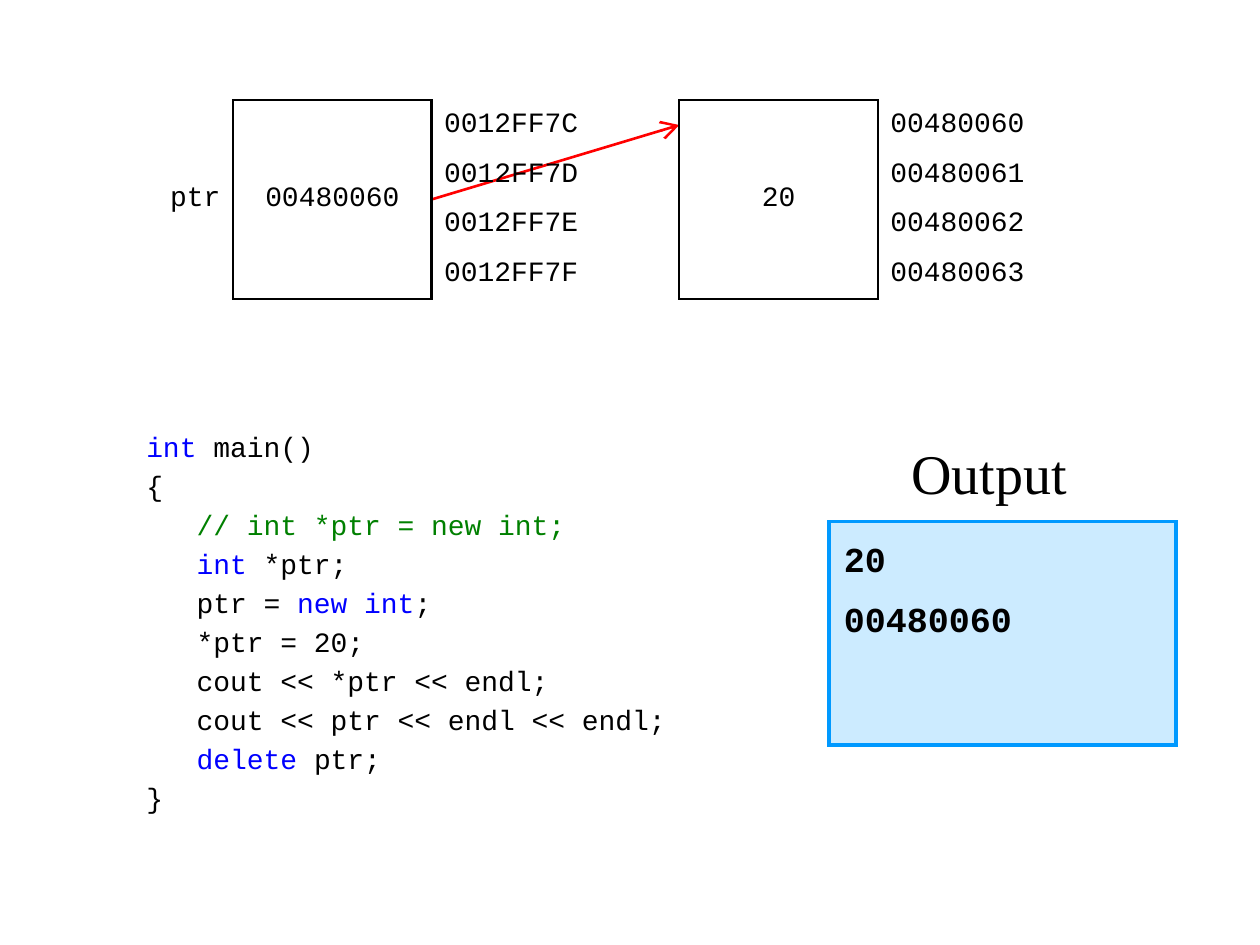
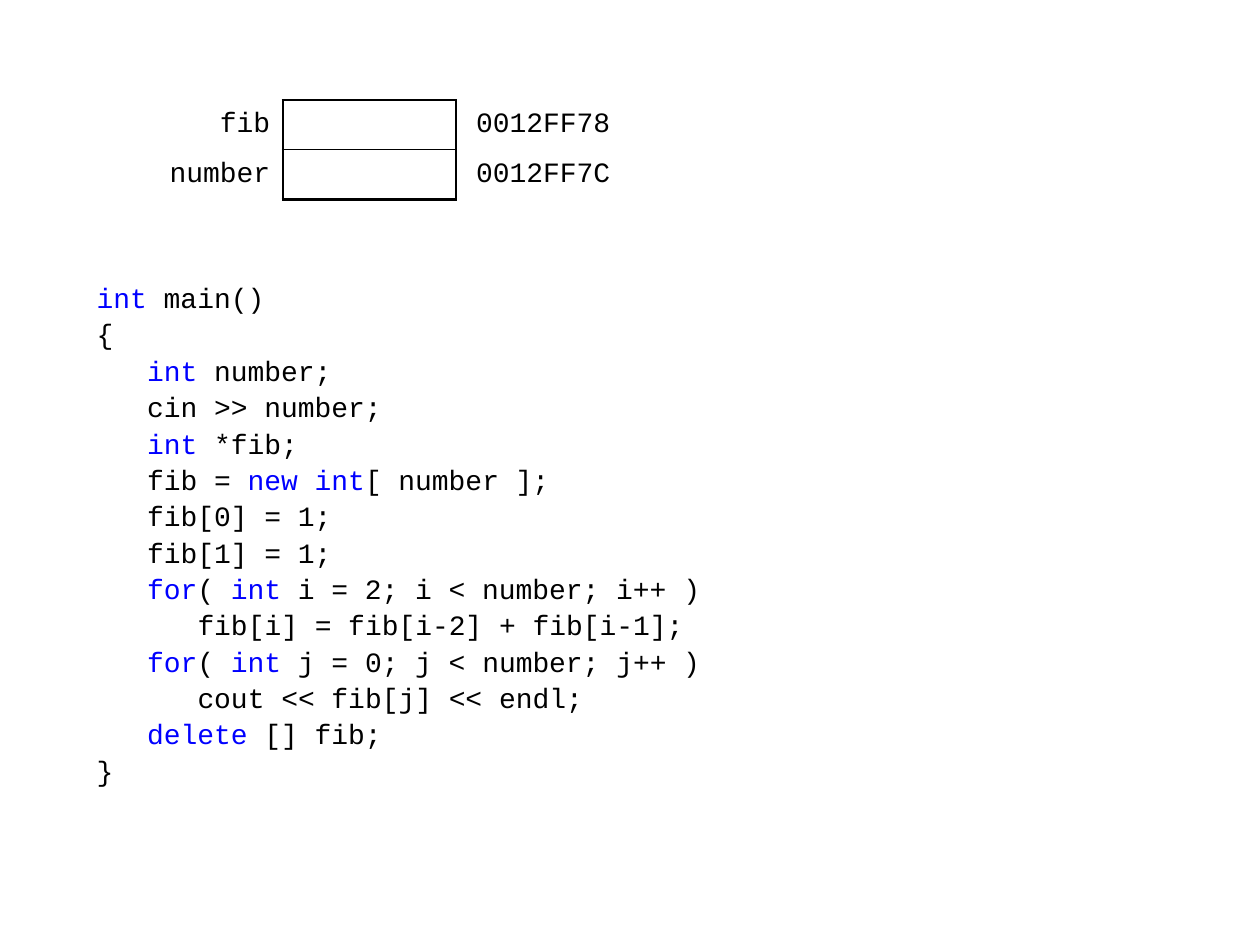
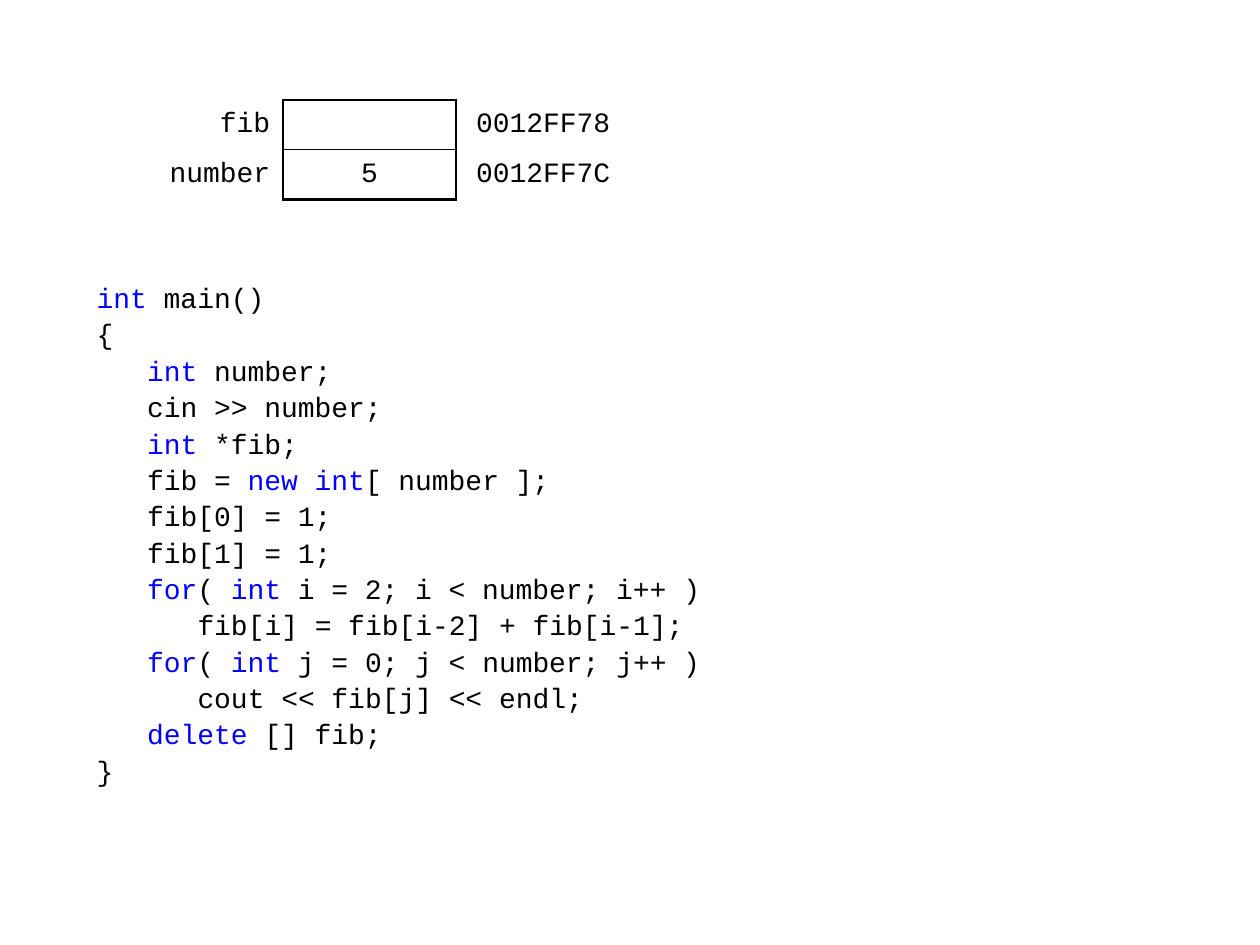
import pptx
import pptx.util
import pptx.dml.color
import pptx.enum.text
import pptx.enum.shapes
import pptx.oxml.ns
from lxml import etree

Pt = pptx.util.Pt
ALIGN = pptx.enum.text.PP_ALIGN
MID = pptx.enum.text.MSO_ANCHOR.MIDDLE
MONO, SERIF = "Courier New", "Times New Roman"
BLACK, BLUE, GREEN, RED = "000000", "0000FF", "008000", "FF0000"
PALE, SKY = "CCEBFF", "0099FF"

UNIT = 28.35            # height of one memory row
TOP, LEFT = 57.3, 76.5  # corner of the memory tables
STEP = 28.8             # three characters of code


def color(code):
    return pptx.dml.color.RGBColor.from_string(code)


def apply(item, form):
    for name, value in form.items():
        setattr(item, name, value)


def child(node, tag, **attrs):
    return etree.SubElement(node, pptx.oxml.ns.qn(tag), attrs)


class Deck:
    def __init__(self):
        self.show = pptx.Presentation()
        apply(self.show, {"slide_width": Pt(720), "slide_height": Pt(540)})
        self.slide = None

    def page(self):
        self.slide = self.show.slides.add_slide(self.show.slide_layouts[6])

    def run(self, para, text, ink=BLACK, size=16, face=MONO, bold=False):
        run = para.add_run()
        run.text = text
        apply(run.font, {"name": face, "size": Pt(size), "bold": bold})
        run.font.color.rgb = color(ink)

    def paras(self, frame, count, gap):
        """Yield paragraphs with a gap between them."""
        for index in range(count):
            para = frame.add_paragraph() if index else frame.paragraphs[0]
            para.alignment = ALIGN.LEFT
            para.space_before = Pt(gap if index else 0)
            yield para

    def text(self, box, **form):
        item = self.slide.shapes.add_textbox(*map(Pt, box))
        apply(item.text_frame, {"word_wrap": True, **form})
        return item.text_frame

    def code(self, box, lines, gap):
        """Lines are (level, text); bars enclose keywords."""
        frame = self.text(box, margin_top=Pt(4), margin_right=0)
        for para, (level, line) in zip(self.paras(frame, len(lines), gap), lines):
            para._p.get_or_add_pPr().set("marL", str(Pt(STEP * level)))
            plain = GREEN if line.startswith("//") else BLACK
            for index, part in enumerate(line.split("|")):
                if part:
                    self.run(para, part, BLUE if index % 2 else plain)

    def label(self, box, text):
        frame = self.text(box, word_wrap=False, vertical_anchor=MID)
        para = frame.paragraphs[0]
        para.alignment = ALIGN.CENTER
        self.run(para, text, size=32, face=SERIF)

    def panel(self, box, lines):
        kind = pptx.enum.shapes.MSO_SHAPE.RECTANGLE
        item = self.slide.shapes.add_shape(kind, *map(Pt, box))
        item.shadow.inherit = False
        item.fill.solid()
        item.fill.fore_color.rgb = color(PALE)
        item.line.color.rgb = color(SKY)
        item.line.width = Pt(2.25)
        child(item.line._get_or_add_ln(), "a:miter", lim="800000")
        frame = item.text_frame
        apply(frame, {"word_wrap": True, "margin_left": Pt(8.6),
                      "margin_top": Pt(9.2),
                      "vertical_anchor": pptx.enum.text.MSO_ANCHOR.TOP})
        for para, line in zip(self.paras(frame, len(lines), 10.4), lines):
            self.run(para, line, size=20, bold=True)

    def arrow(self, start, end):
        kind = pptx.enum.shapes.MSO_CONNECTOR.STRAIGHT
        item = self.slide.shapes.add_connector(kind, *map(Pt, start + end))
        item.line.color.rgb = color(RED)
        item.line.width = Pt(1.5)
        child(item.line._get_or_add_ln(), "a:tailEnd",
              type="arrow", w="lg", len="lg")
        child(item._element.spPr, "a:effectLst")

    def edges(self, cell, widths):
        """Set the left, right, top and bottom lines; 0 hides one."""
        props = cell._tc.get_or_add_tcPr()
        for side, width in zip("LRTB", widths):
            line = child(props, "a:ln" + side, w=str(Pt(width)))
            if width:
                child(child(line, "a:solidFill"), "a:srgbClr", val=BLACK)
            else:
                child(line, "a:noFill")

    def table(self, left, widths, rows, aligns, box, merge=False):
        """Draw memory cells; column number box is the framed one."""
        count = len(rows)
        frame = self.slide.shapes.add_table(
            count, len(widths), Pt(left), Pt(TOP),
            Pt(sum(widths)), Pt(UNIT * count))
        table = frame.table
        apply(table, {"first_row": False, "horz_banding": False})
        for column, width in zip(table.columns, widths):
            column.width = Pt(width)
        for r, row in enumerate(rows):
            table.rows[r].height = Pt(UNIT)
            for c, text in enumerate(row):
                cell = table.cell(r, c)
                if c == box:
                    inner = 1.5 if merge else 0.75
                    lines = (1.5, 1.5, inner if r else 1.5,
                             inner if r < count - 1 else 1.5)
                else:
                    lines = (1.5 * (c == box + 1), 1.5 * (c == box - 1), 0, 0)
                self.edges(cell, lines)
                cell.fill.background()
                apply(cell, {"vertical_anchor": MID,
                             "margin_top": Pt(2.9), "margin_bottom": Pt(2.9)})
                para = cell.text_frame.paragraphs[0]
                para.alignment = aligns[c]
                if text:
                    self.run(para, text)
        if merge:
            for c in range(box + 1):
                table.cell(0, c).merge(table.cell(count - 1, c))


POINTER = [
    (0, "|int| main()"),
    (0, "{"),
    (1, "// int *ptr = new int;"),
    (1, "|int| *ptr;"),
    (1, "ptr = |new int|;"),
    (1, "*ptr = 20;"),
    (1, "cout << *ptr << endl;"),
    (1, "cout << ptr << endl << endl;"),
    (1, "|delete |ptr;"),
    (0, "}"),
]
SERIES = [
    (0, "|int| main()"),
    (0, "{"),
    (1, "|int| number;"),
    (1, "cin >> number;"),
    (1, "|int| *fib;"),
    (1, "fib = |new int|[ number ];"),
    (1, "fib[0] = 1;"),
    (1, "fib[1] = 1;"),
    (1, "|for|( |int |i = 2; i < number; i++ )"),
    (2, "fib[i] = fib[i-2] + fib[i-1];"),
    (1, "|for|( |int| j = 0; j < number; j++ )"),
    (2, "cout << fib[j] << endl;"),
    (1, "|delete| [] fib;"),
    (0, "}"),
]


def main():
    deck = Deck()

    # One pointer and the integer it points to
    deck.page()
    wide, heap = 4 * UNIT, 388.2
    deck.arrow((LEFT + 6 * UNIT, TOP + 2 * UNIT), (heap, TOP + UNIT / 2))
    deck.code((LEFT, 241.7, 312, 241), POINTER, 3.1)
    names = [("ptr", "00480060")] + [("", "")] * 3
    rows = [(*pair, "0012FF7" + end) for pair, end in zip(names, "CDEF")]
    deck.table(LEFT, (2 * UNIT, wide, wide), rows,
               (ALIGN.RIGHT, ALIGN.CENTER, ALIGN.LEFT), 1, True)
    rows = [("" if n else "20", f"0048006{n}") for n in range(4)]
    deck.table(heap, (wide, wide), rows, (ALIGN.CENTER, ALIGN.LEFT), 0, True)
    deck.panel((473.6, 298, 198.6, 127.5), ("20", "00480060"))
    deck.label((501.5, 241.3, 127.5, 57), "Output")

    # The array program, before and after the input
    for value in ("", "5"):
        deck.page()
        deck.code((48.2, 156.4, 411, 340.5), SERIES, 1.58)
        rows = [("fib", "", "0012FF78"), ("number", value, "0012FF7C")]
        deck.table(LEFT, (3 * UNIT, 3.5 * UNIT, 3.5 * UNIT), rows,
                   (ALIGN.RIGHT, ALIGN.CENTER, ALIGN.CENTER), 1)

    deck.show.save("out.pptx")


if __name__ == "__main__":
    main()
